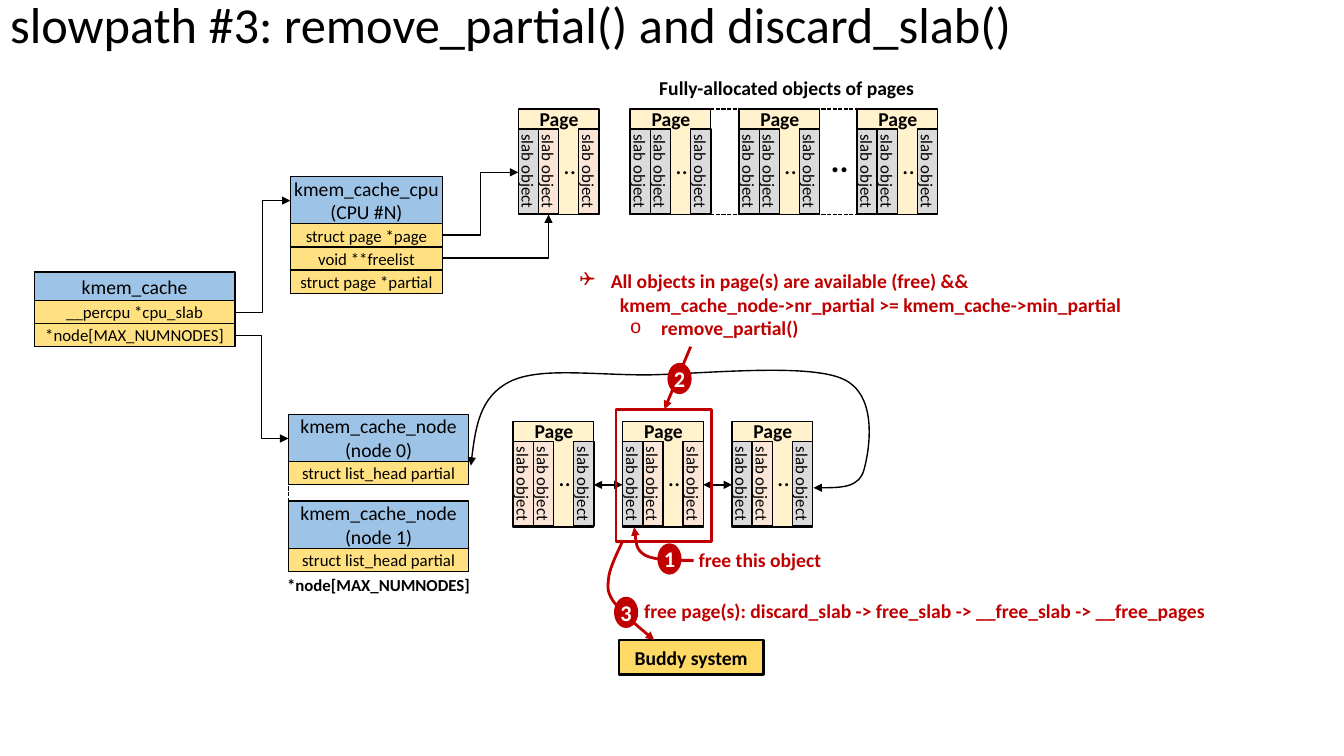
from copy import deepcopy
from lxml import etree
from pptx import Presentation
from pptx import util as u
from pptx.dml.color import RGBColor
from pptx.enum import dml, shapes, text
from pptx.oxml.ns import qn

PX = 9144  # 100 px to the inch
HUES = {"blue": "9DC3E6", "gold": "FFE181", "amber": "FFD966", "cream": "FFF2CC",
        "pink": "FBE5D6", "gray": "DBDBDB", "red": "C00000",
        "black": "000000", "white": "FFFFFF"}
RECT, OVAL = shapes.MSO_SHAPE.RECTANGLE, shapes.MSO_SHAPE.OVAL
LEFT, MID = text.PP_ALIGN.LEFT, text.PP_ALIGN.CENTER
PADS = ("margin_left", "margin_top", "margin_right", "margin_bottom")


def px(*vals):
    return [u.Emu(round(v * PX)) for v in vals]


def hue(name):
    return RGBColor.from_string(HUES[name])


def put(item, fmt):
    for key, val in fmt.items():
        setattr(item, key, val)


def ink(par, size, color="black", bold=False):
    for run in par.runs:
        put(run.font, {"name": "Calibri", "size": u.Pt(size), "bold": bold})
        run.font.color.rgb = hue(color)
    for br in par._p.findall(qn("a:br")):
        br.append(deepcopy(par.runs[0]._r.rPr))


def write(shape, words, size, color="black", bold=False, align=MID,
          anchor=text.MSO_ANCHOR.MIDDLE, pad=(10, 5, 10, 5)):
    frame = shape.text_frame
    put(frame, {"word_wrap": align == LEFT, "vertical_anchor": anchor})
    put(frame, dict(zip(PADS, px(*pad))))
    par = frame.paragraphs[0]
    put(par, {"text": words, "alignment": align})
    ink(par, size, color, bold)


def note(host, box, words, size, color="black", bold=True, align=LEFT):
    label = host.add_textbox(*px(*box))
    write(label, words, size, color, bold, align, text.MSO_ANCHOR.TOP)


def stroke(shape, color, width, ends="", dash=False):
    line = shape.line
    line.fill.solid()
    line.fill.fore_color.rgb = hue(color)
    line.width = u.Pt(width)
    if dash:
        line.dash_style = dml.MSO_LINE.SQUARE_DOT
    for end in ("head", "tail"):
        if end in ends:
            tip = etree.SubElement(shape.get_or_add_ln(), qn(f"a:{end}End"))
            tip.set("type", "triangle")


def block(host, box, fill=None, line="black", width=1, form=RECT):
    shape = host.add_shape(form, *px(*box))
    shape.shadow.inherit = False
    if fill:
        shape.fill.solid()
        shape.fill.fore_color.rgb = hue(fill)
    else:
        shape.fill.background()
    if line:
        stroke(shape, line, width)
    else:
        shape.line.fill.background()
    return shape


def link(host, ends, tips="tail", color="black", width=1, dash=False, bend=0):
    kind = shapes.MSO_CONNECTOR.ELBOW if bend else shapes.MSO_CONNECTOR.STRAIGHT
    con = host.add_connector(kind, *px(*ends))
    stroke(con, color, width, tips, dash)
    props = con._element.spPr
    if bend:
        props.find(qn("a:prstGeom")).set("prst", f"bentConnector{bend}")
    etree.SubElement(props, qn("a:effectLst"))


def curve(host, box, start, arcs, tips="tail", color="red", width=2):
    """A freeform of the given box, outlined by cubic arcs."""
    x, y, w, h = box
    draft = host.build_freeform(*px(x, y))
    draft.add_line_segments([px(x + w, y + h)], close=False)
    shape = draft.convert_to_shape()
    trace = next(shape._element.iter(qn("a:path")))
    for step in list(trace):
        trace.remove(step)
    for tag, dots in [("moveTo", [start])] + [("cubicBezTo", arc) for arc in arcs]:
        step = etree.SubElement(trace, qn(f"a:{tag}"))
        for across, down in dots:
            dot = etree.SubElement(step, qn("a:pt"))
            dot.set("x", str((across - x) * PX))
            dot.set("y", str((down - y) * PX))
    shape.shadow.inherit = False
    shape.fill.background()
    stroke(shape, color, width, tips)


def struct(host, x, y, w, head, tall, fields):
    """A blue heading over rows of gold fields."""
    write(block(host, (x, y, w, tall), "blue"), head, 14, pad=(1, 5, 1, 5))
    for i, field in enumerate(fields):
        write(block(host, (x, y + tall + 23 * i, w, 23), "gold"), field, 12)


def page(host, x, y, fills):
    """A page with three upright slab objects, grouped."""
    group = host.add_group_shape().shapes
    block(group, (x, y, 80, 105), "cream")
    for shift, fill in zip((0, 20, 60), fills):
        slab = block(group, (x + shift - 32, y + 52, 84, 20), fill)
        slab.rotation = 90
        write(slab, "slab object", 12, pad=(5, 0, 5, 0))
    note(group, (x + 35, y + 35, 44, 40), "..", 18, bold=False)
    note(group, (x + 10, y - 7, 61, 34), "Page", 14, align=MID)


def badge(host, x, y, num):
    write(block(host, (x, y, 24, 31), "red", None, form=OVAL), num, 16, "white", True,
          pad=(0, 0, 0, 0))


def rules(host, box):
    """The condition for removing a partial page."""
    area = host.add_textbox(*px(*box))
    frame = area.text_frame
    frame.word_wrap = True
    rows = [("All objects in page(s) are available (free) &&", 31, -31, "❑", "Wingdings"),
            ("kmem_cache_node->nr_partial >= kmem_cache->min_partial", 40, 0, "", ""),
            ("remove_partial()", 81, -31, "o", "Courier New")]
    for i, (words, left, hang, mark, face) in enumerate(rows):
        par = frame.add_paragraph() if i else frame.paragraphs[0]
        put(par, {"text": words, "level": int(mark == "o")})
        props = par._p.get_or_add_pPr()
        props.set("marL", str(left * PX))
        props.set("indent", str(hang * PX))
        if mark:
            etree.SubElement(props, qn("a:buFont")).set("typeface", face)
            etree.SubElement(props, qn("a:buChar")).set("char", mark)
        ink(par, 14, "red", True)


def title(slide, box):
    head = slide.shapes.title
    put(head, dict(zip(("left", "top", "width", "height"), px(*box))))
    write(head, "slowpath #3: remove_partial() and discard_slab()", 36, align=LEFT)
    head.text_frame.paragraphs[0].line_spacing = 0.9


def caches(host, x, y):
    """Cache structs on the left and their links."""
    struct(host, x, y, 199, "kmem_cache", 28, ["__percpu *cpu_slab", "*node[MAX_NUMNODES]"])
    struct(host, x + 254, y - 95, 151, "kmem_cache_cpu\n(CPU #N)", 47,
           ["struct page *page", "void **freelist", "struct page *partial"])
    for i in range(2):
        struct(host, x + 252, y + 141 + 86 * i, 179, f"kmem_cache_node\n(node {i})", 47,
               ["struct list_head partial"])
    note(host, (x + 234, y + 295, 215, 30), "*node[MAX_NUMNODES]", 12, align=MID)
    link(host, (x + 252, y + 185, x + 252, y + 227), "", dash=True)
    for ends, bend in [((199, 40, 254, -71), 3), ((199, 63, 252, 165), 3),
                       ((405, -14, 510, -57), 2), ((405, -37, 480, -99), 3)]:
        link(host, [v + (x, y)[i % 2] for i, v in enumerate(ends)], bend=bend)


def full(host, x, y):
    """Active page and the fully allocated pages."""
    note(host, (x + 130, y - 38, 287, 34), "Fully-allocated objects of pages", 14)
    for line in (y, y + 105):
        link(host, (x + 185, line, x + 350, line), "", dash=True)
    page(host, x, y, ("gray", "pink", "pink"))
    for shift in (111, 219, 336):
        page(host, x + shift, y, ["gray"] * 3)
    note(host, (x + 300, y + 25, 44, 50), "..", 24)


def partial(host, x, y):
    """Partial list, with its ring of links."""
    curve(host, (467, 368, 396, 117), (807, 484),
          [((830, 484), (852, 484), (857, 466)), ((862, 448), (872, 392), (836, 376)),
           ((801, 360), (697, 371), (642, 372)), ((586, 372), (534, 364), (505, 379)),
           ((476, 394), (471, 428), (467, 462))], "head tail", "black", 1)
    kinds = (("pink", "pink", "gray"), ("gray", "pink", "pink"), ("gray", "pink", "gray"))
    for i, fills in enumerate(kinds):
        page(host, x + 108.5 * i, y, fills)
    for i in range(2):
        left = x + 80 + 108.5 * i
        link(host, (left, y + 63, left + 28.5, y + 63), "head tail")
    block(host, (x + 102, y - 12, 95, 131), line="red", width=2)


def steps(host):
    """Numbered red steps down to the buddy system."""
    curve(host, (629, 523, 60, 33), (688, 556),
          [((669, 556), (650, 556), (640, 551)), ((630, 545), (630, 527), (629, 523))])
    note(host, (683, 539, 161, 34), "free this object", 14, "red")
    link(host, (685, 344, 659, 406), color="red", width=2)
    write(block(host, (614, 635, 143, 34), "amber", width=2), "Buddy system", 14, bold=True)
    curve(host, (603, 536, 46, 99), (618, 536),
          [((612, 549), (606, 561), (604, 571)), ((603, 581), (601, 585), (608, 596)),
           ((616, 607), (632, 621), (649, 635))])
    note(host, (629, 589, 615, 34),
         "free page(s): discard_slab -> free_slab -> __free_slab -> __free_pages", 14, "red")
    for num, (x, y) in enumerate([(652, 539), (662, 360), (609, 592)], 1):
        badge(host, x, y, str(num))


def main():
    deck = Presentation()
    deck.slide_width, deck.slide_height = px(1333, 750)
    slide = deck.slides.add_slide(deck.slide_layouts[5])
    host = slide.shapes
    title(slide, (0, -11, 1341, 75))
    caches(host, 34, 270)
    full(host, 514, 108)
    rules(host, (565, 262, 570, 81))
    partial(host, 509, 418)
    steps(host)
    deck.save("out.pptx")


if __name__ == "__main__":
    main()
